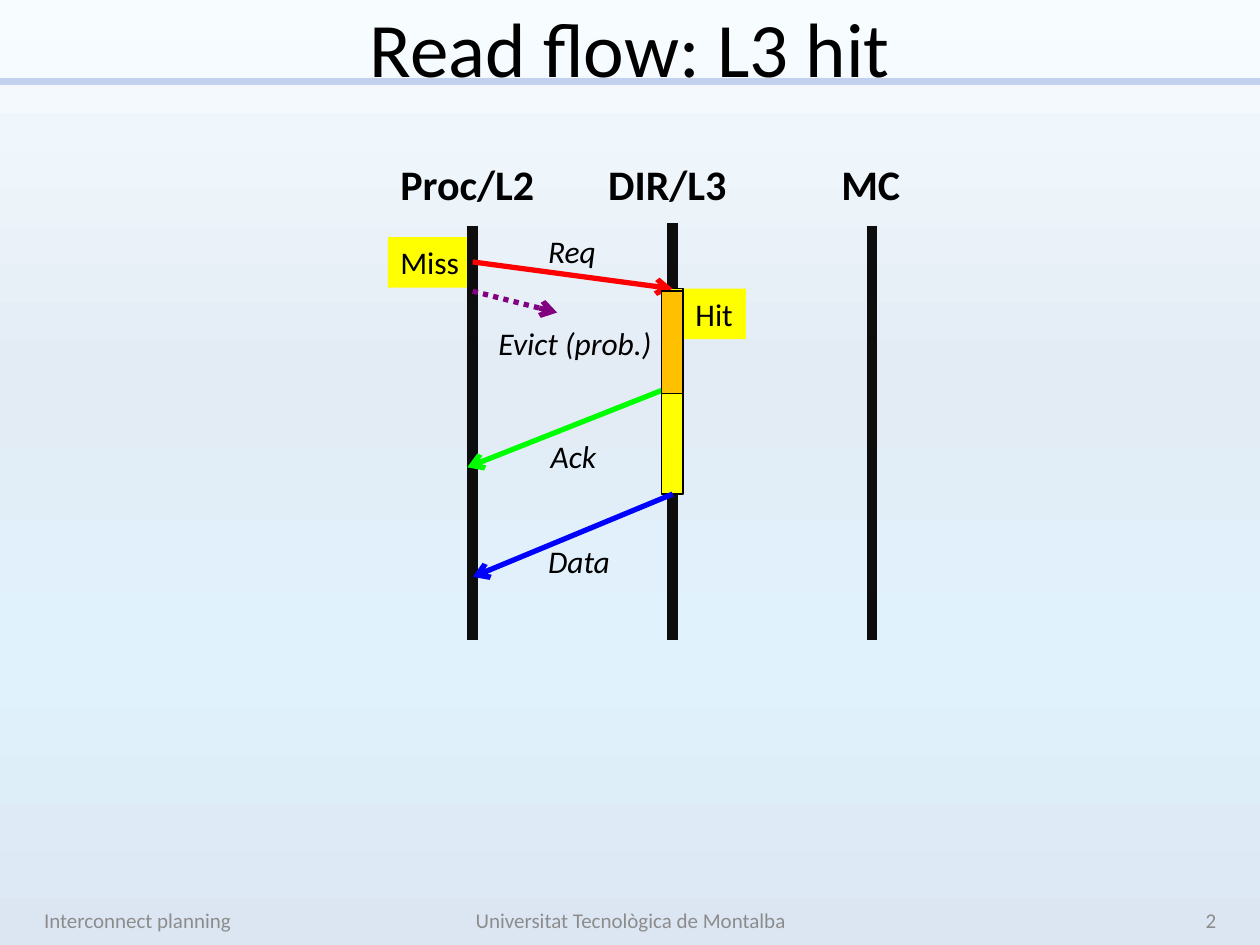
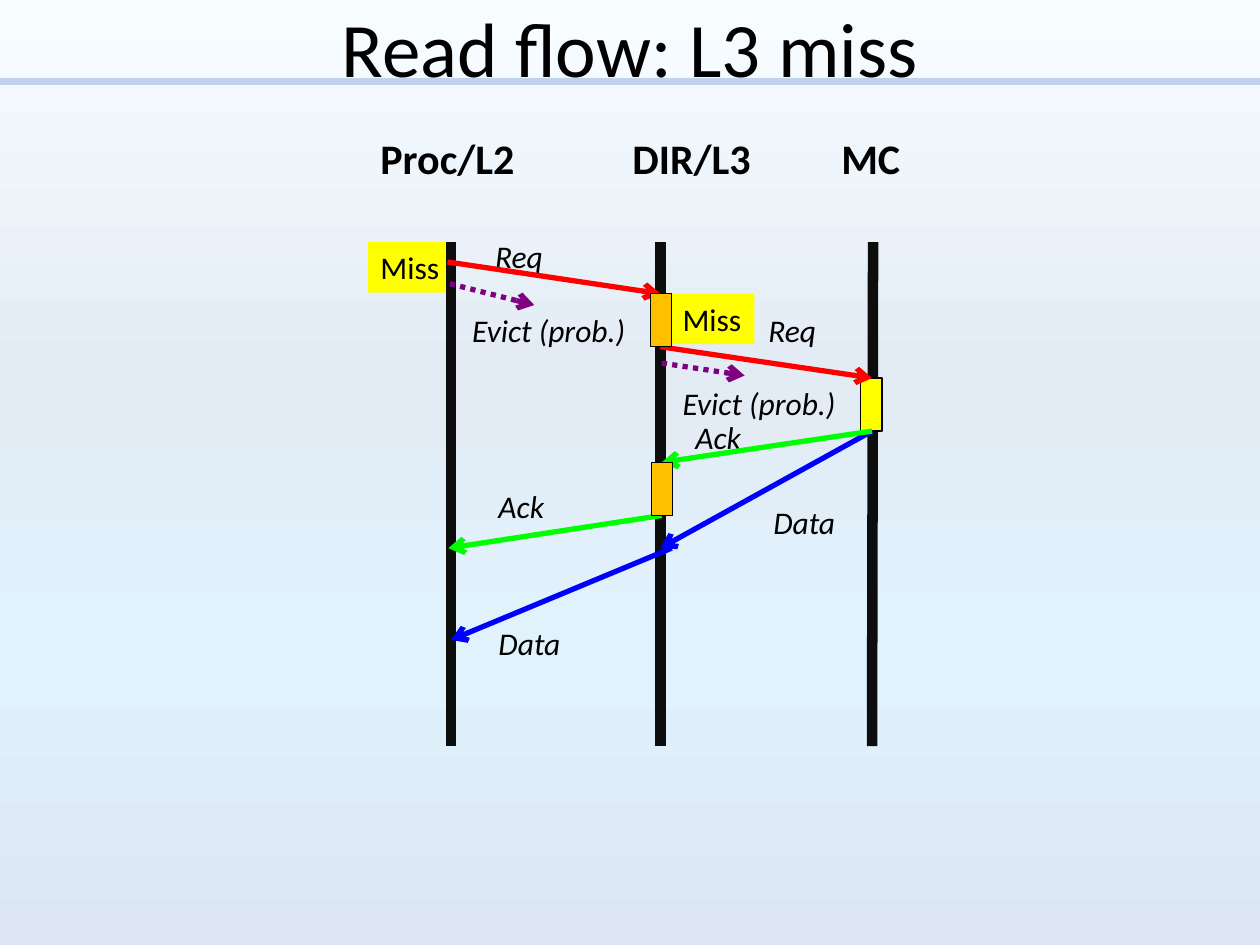
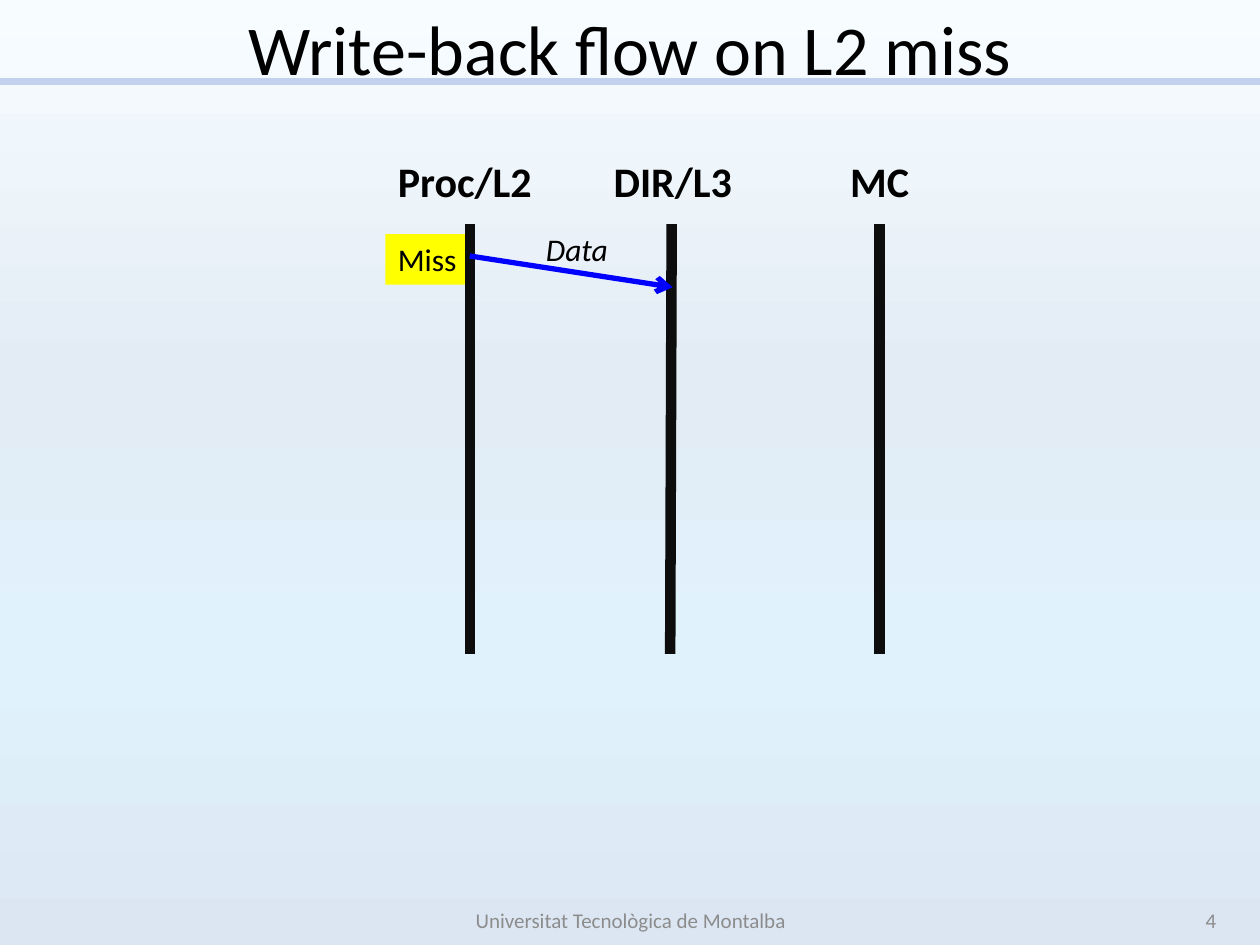
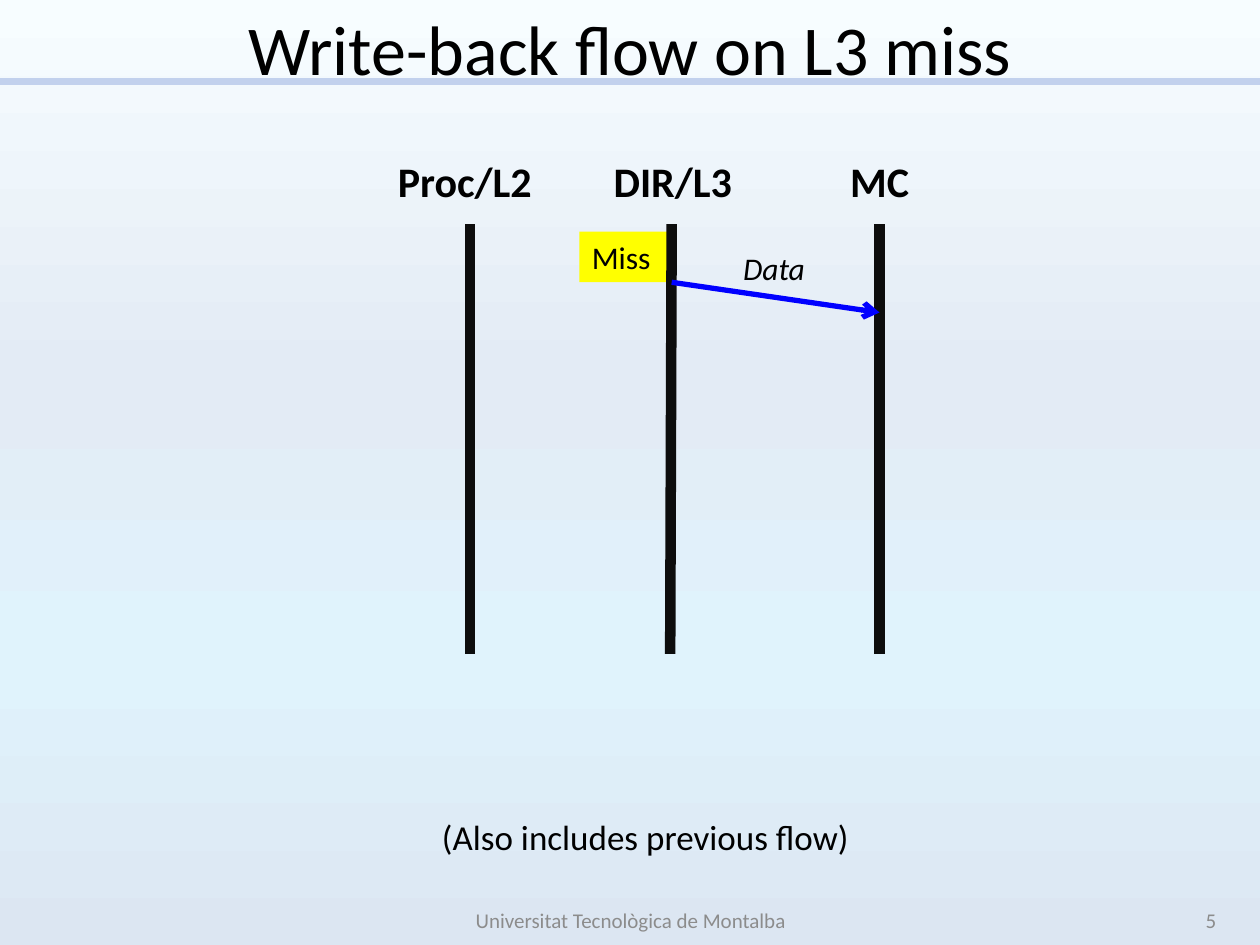
from lxml.etree import SubElement
from pptx import Presentation
from pptx.dml.color import RGBColor
from pptx.enum.dml import MSO_LINE
from pptx.enum.shapes import MSO_CONNECTOR, MSO_SHAPE
from pptx.enum.text import MSO_ANCHOR, MSO_AUTO_SIZE, PP_ALIGN
from pptx.oxml.ns import qn
from pptx.util import Cm, Pt

COLORS = {
    "text": "000000", "footer": "8C8C8C", "band": "C2D1ED", "lifeline": "0D0D0D",
    "yellow": "FFFF00", "orange": "FFC000",
    "req": "FF0000", "ack": "00FF00", "data": "0000FF", "evict": "800080",
}
BACKGROUND = [(0, "F7FDFF"), (40, "E3EBF5"), (70, "E0F3FC"), (100, "DCE6F2")]
WIDTHS = {
    "Proc/L2": 3.23, "DIR/L3": 2.92, "MC": 1.7, "Req": 1.5, "Ack": 1.42,
    "Data": 1.78, "Evict (prob.)": 3.63, "Miss": 1.7, "Hit": 1.27,
}
NODES = ("Proc/L2", "DIR/L3", "MC")
FONT = "Calibri"
SCHOOL = "Universitat Tecnològica de Montalba"


def rgb(name):
    return RGBColor.from_string(COLORS[name])


def write(sp, text, size=18, color="text", bold=False, italic=False,
          align=PP_ALIGN.LEFT, anchor=MSO_ANCHOR.TOP, wrap=False):
    tf = sp.text_frame
    tf.word_wrap = wrap
    tf.auto_size = MSO_AUTO_SIZE.NONE if wrap else MSO_AUTO_SIZE.SHAPE_TO_FIT_TEXT
    tf.vertical_anchor = anchor
    p = tf.paragraphs[0]
    p.alignment = align
    r = p.add_run()
    r.text = text
    r.font.name = FONT
    r.font.size = Pt(size)
    r.font.bold = bold
    r.font.italic = italic
    r.font.color.rgb = rgb(color)


class FlowDeck:
    def __init__(self):
        self.prs = Presentation()
        self.prs.slide_width = Cm(25.4)
        self.prs.slide_height = Cm(19.05)
        self.s = None
        self.background()

    def background(self):
        master = self.prs.slide_master
        fill = master.background.fill
        fill.gradient()
        fill.gradient_angle = 270
        stops = master.element.find(".//" + qn("a:gsLst"))
        for stop in list(stops):
            stops.remove(stop)
        for pos, color in BACKGROUND:
            stop = SubElement(stops, qn("a:gs"), pos=str(pos * 1000))
            SubElement(stop, qn("a:srgbClr"), val=color)

    def slide(self, title, size=44):
        self.s = self.prs.slides.add_slide(self.prs.slide_layouts[6])
        self.line(0, 1.65, 25.4, 1.65, "band", 4)
        self.text(title, 1.27, 0, 22.86, 1.9, size=size, wrap=True,
                  align=PP_ALIGN.CENTER, anchor=MSO_ANCHOR.MIDDLE)

    def footer(self, number, topic=None):
        parts = [(topic, 0.64, 5.92, PP_ALIGN.LEFT),
                 (SCHOOL, 8.69, 8.05, PP_ALIGN.CENTER),
                 (str(number), 18.85, 5.92, PP_ALIGN.RIGHT)]
        for text, x, w, align in parts:
            if text:
                self.text(text, x, 18.03, w, 1.02, size=12, color="footer",
                          align=align, anchor=MSO_ANCHOR.MIDDLE, wrap=True)

    def text(self, text, x, y, w, h, **fmt):
        sp = self.s.shapes.add_textbox(Cm(x), Cm(y), Cm(w), Cm(h))
        write(sp, text, **fmt)

    def headings(self, y, xs):
        for name, x in zip(NODES, xs):
            self.text(name, x, y, WIDTHS[name], 1.27, size=24, bold=True)

    def label(self, text, x, y, **fmt):
        self.text(text, x, y, WIDTHS[text], 1.02, italic=True, **fmt)

    def rect(self, x, y, w, h, color):
        sp = self.s.shapes.add_shape(MSO_SHAPE.RECTANGLE, Cm(x), Cm(y), Cm(w), Cm(h))
        sp.shadow.inherit = False
        sp.fill.solid()
        sp.fill.fore_color.rgb = rgb(color)
        return sp

    def flag(self, text, x, y, w=None, **fmt):
        sp = self.rect(x, y, w or WIDTHS[text], 1.02, "yellow")
        sp.line.fill.background()
        write(sp, text, **fmt)

    def busy(self, x, y, h, color):
        sp = self.rect(x, y, 0.43, h, color)
        sp.line.color.rgb = rgb("text")
        sp.line.width = Pt(0.75)

    def line(self, x1, y1, x2, y2, color, width):
        sp = self.s.shapes.add_connector(MSO_CONNECTOR.STRAIGHT, Cm(x1), Cm(y1), Cm(x2), Cm(y2))
        sp.line.color.rgb = rgb(color)
        sp.line.width = Pt(width)
        SubElement(sp.element.spPr, qn("a:effectLst"))
        return sp

    def lifeline(self, x1, y1, x2, y2):
        self.line(x1, y1, x2, y2, "lifeline", 6)

    def message(self, kind, x1, y1, x2, y2):
        sp = self.line(x1, y1, x2, y2, kind, 3)
        if kind == "evict":
            sp.line.dash_style = MSO_LINE.ROUND_DOT
        SubElement(sp.line._get_or_add_ln(), qn("a:tailEnd"), type="arrow")

    def write_back_nodes(self):
        self.headings(3.02, (7.77, 12.12, 16.89))
        for top, bottom in ((9.47, 9.47), (13.54, 13.51), (17.73, 17.73)):
            self.lifeline(top, 4.52, bottom, 13.18)


def read_hit(deck):
    deck.slide("Read flow: L3 hit")
    deck.footer(2, "Interconnect planning")
    deck.flag("Miss", 7.82, 4.78)
    deck.flag("Hit", 13.77, 5.82)
    deck.headings(3.07, (7.82, 12.01, 16.71))
    for x, top in ((9.53, 4.55), (13.56, 4.5), (17.58, 4.55)):
        deck.lifeline(x, top, x, 12.9)
    deck.label("Req", 10.8, 4.55)
    deck.busy(13.34, 5.82, 4.14, "yellow")
    deck.message("req", 9.53, 5.28, 13.56, 5.82)
    deck.message("ack", 13.34, 7.87, 9.42, 9.42)
    deck.label("Data", 10.8, 10.8)
    deck.label("Ack", 10.85, 8.69)
    deck.message("data", 13.56, 9.96, 9.53, 11.63)
    deck.label("Evict (prob.)", 9.8, 6.4)
    deck.busy(13.34, 5.87, 2.06, "orange")
    deck.message("evict", 9.53, 5.87, 11.23, 6.3)


def read_miss(deck):
    deck.slide("Read flow: L3 miss")
    deck.lifeline(17.6, 4.88, 17.58, 15.04)
    deck.lifeline(13.31, 4.88, 13.31, 15.04)
    deck.flag("Miss", 7.42, 4.88)
    deck.lifeline(9.09, 4.88, 9.09, 15.04)
    deck.headings(2.54, (7.42, 12.5, 16.71))
    deck.label("Req", 9.73, 4.65)
    deck.message("req", 9.02, 5.28, 13.31, 5.92)
    deck.label("Req", 15.24, 6.15)
    deck.busy(17.35, 7.62, 1.07, "yellow")
    deck.label("Data", 15.34, 10.01)
    deck.message("req", 13.31, 6.99, 17.58, 7.62)
    deck.flag("Miss", 13.51, 5.92)
    deck.busy(13.11, 5.92, 1.07, "orange")
    deck.message("evict", 9.07, 5.72, 10.77, 6.15)
    deck.label("Evict (prob.)", 9.27, 6.15)
    deck.message("evict", 13.34, 7.32, 15.01, 7.57)
    deck.label("Evict (prob.)", 13.51, 7.62)
    deck.message("data", 17.58, 8.69, 13.31, 11.05)
    deck.label("Data", 9.8, 12.45)
    deck.message("data", 13.54, 11.05, 9.09, 12.9)
    deck.label("Ack", 13.77, 8.31)
    deck.message("ack", 13.34, 10.39, 9.04, 11.05)
    deck.message("ack", 17.58, 8.69, 13.34, 9.32)
    deck.label("Ack", 9.8, 9.7)
    deck.busy(13.13, 9.32, 1.07, "orange")


def write_back_l2(deck):
    deck.slide("Write-back flow on L2 miss", 40)
    deck.footer(4)
    deck.flag("Miss", 7.77, 4.72)
    deck.label("Data", 10.74, 4.52, align=PP_ALIGN.CENTER)
    deck.write_back_nodes()
    deck.message("data", 9.47, 5.16, 13.56, 5.79)


def write_back_l3(deck):
    deck.slide("Write-back flow on L3 miss", 40)
    deck.footer(5)
    deck.flag("Miss", 11.68, 4.67, 1.85, wrap=True)
    deck.write_back_nodes()
    deck.message("data", 13.54, 5.69, 17.73, 6.3)
    deck.label("Data", 14.73, 4.9)
    deck.text("(Also includes previous flow)", 8.66, 16.31, 8.79, 1.12, size=20)


deck = FlowDeck()
for build in (read_hit, read_miss, write_back_l2, write_back_l3):
    build(deck)
deck.prs.save("out.pptx")
